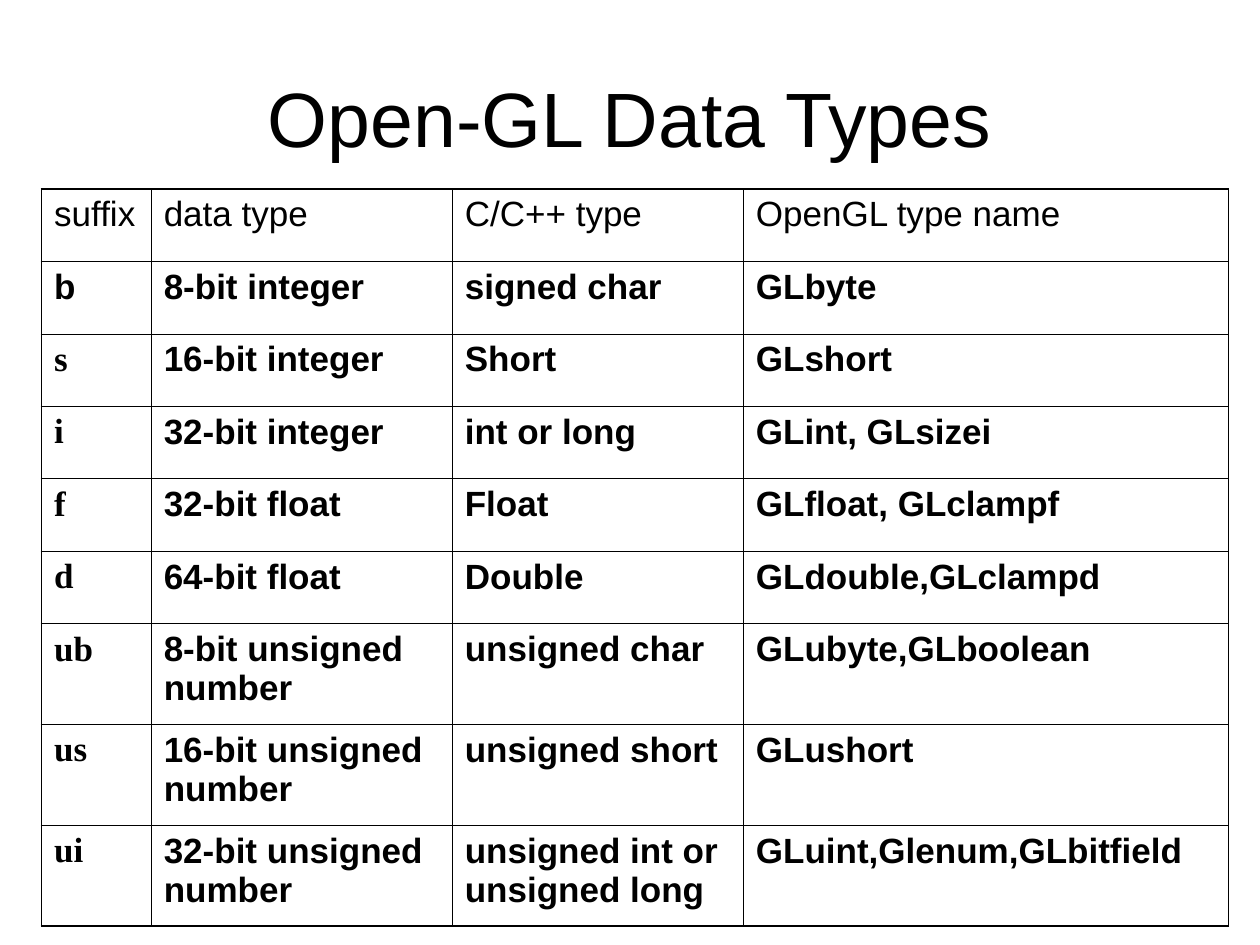
import pptx
import pptx.dml.color
import pptx.enum.text
import pptx.oxml
import pptx.oxml.ns
import pptx.util
from pptx.util import Inches

ROWS = [
    ("suffix", "data type", "C/C++ type", "OpenGL type name"),
    ("b", "8-bit integer", "signed char", "GLbyte"),
    ("s", "16-bit integer", "Short", "GLshort"),
    ("i", "32-bit integer", "int or long", "GLint, GLsizei"),
    ("f", "32-bit float", "Float", "GLfloat, GLclampf"),
    ("d", "64-bit float", "Double", "GLdouble,GLclampd"),
    ("ub", "8-bit unsigned number", "unsigned char", "GLubyte,GLboolean"),
    ("us", "16-bit unsigned number", "unsigned short", "GLushort"),
    ("ui", "32-bit unsigned number", "unsigned int or unsigned long",
     "GLuint,Glenum,GLbitfield"),
]
WIDTHS = [0.87, 2.39, 2.31, 3.85]
HEIGHTS = [0.575] * 6 + [0.8] * 3
INK = "000000"
THIN, THICK = 0.45, 1.08


def style(font, color, **values):
    font.color.rgb = pptx.dml.color.RGBColor.from_string(color)
    for key, value in values.items():
        setattr(font, key, value)


def border(cell, widths):
    """Draw the cell's left, right, top and bottom lines, widths in points."""
    props = cell._tc.get_or_add_tcPr()
    for spot, (side, width) in enumerate(zip("LRTB", widths)):
        props.insert(spot, pptx.oxml.parse_xml(
            f'<a:ln{side} {pptx.oxml.ns.nsdecls("a")} w="{pptx.util.Pt(width)}">'
            f'<a:solidFill><a:srgbClr val="{INK}"/></a:solidFill></a:ln{side}>'))


deck = pptx.Presentation()
deck.slide_width, deck.slide_height = Inches(10), Inches(7.5)
slide = deck.slides.add_slide(deck.slide_layouts[5])

title = slide.shapes.title
place = {"left": 0.5, "top": 0.3, "width": 9, "height": 1.25}
for key, value in place.items():
    setattr(title, key, Inches(value))
title.text_frame.text = "Open-GL Data Types"
title.text_frame.vertical_anchor = pptx.enum.text.MSO_ANCHOR.MIDDLE
para = title.text_frame.paragraphs[0]
para.alignment = pptx.enum.text.PP_ALIGN.CENTER
style(para.runs[0].font, INK, name="Arial", size=pptx.util.Pt(44))

table = slide.shapes.add_table(
    len(ROWS), len(WIDTHS), Inches(0.33), Inches(1.5),
    Inches(sum(WIDTHS)), Inches(sum(HEIGHTS))).table
table.first_row = table.horz_banding = False
for col, width in zip(table.columns, WIDTHS):
    col.width = Inches(width)
for row, height in zip(table.rows, HEIGHTS):
    row.height = Inches(height)

last_row, last_col = len(ROWS) - 1, len(WIDTHS) - 1
for r, words in enumerate(ROWS):
    for c, word in enumerate(words):
        cell = table.cell(r, c)
        cell.fill.background()
        edges = (c == 0, c == last_col, r == 0, r == last_row)
        border(cell, [THICK if edge else THIN for edge in edges])
        cell.text = word
        para = cell.text_frame.paragraphs[0]
        para.space_before = pptx.util.Pt(5)
        face = "Times New Roman" if c == 0 and r > 1 else "Arial"
        style(para.runs[0].font, INK, name=face, size=pptx.util.Pt(20), bold=r > 0)

deck.save("out.pptx")
